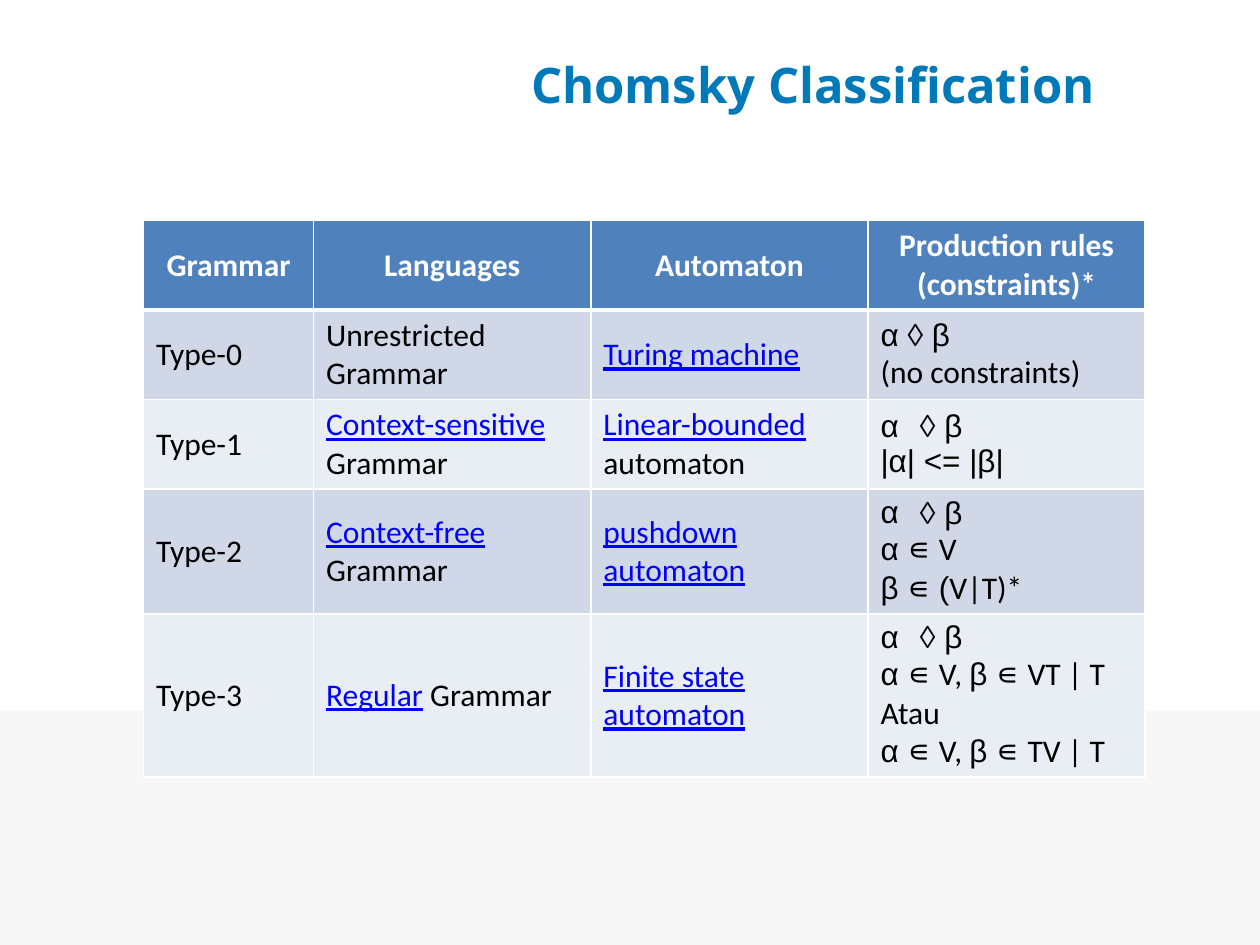
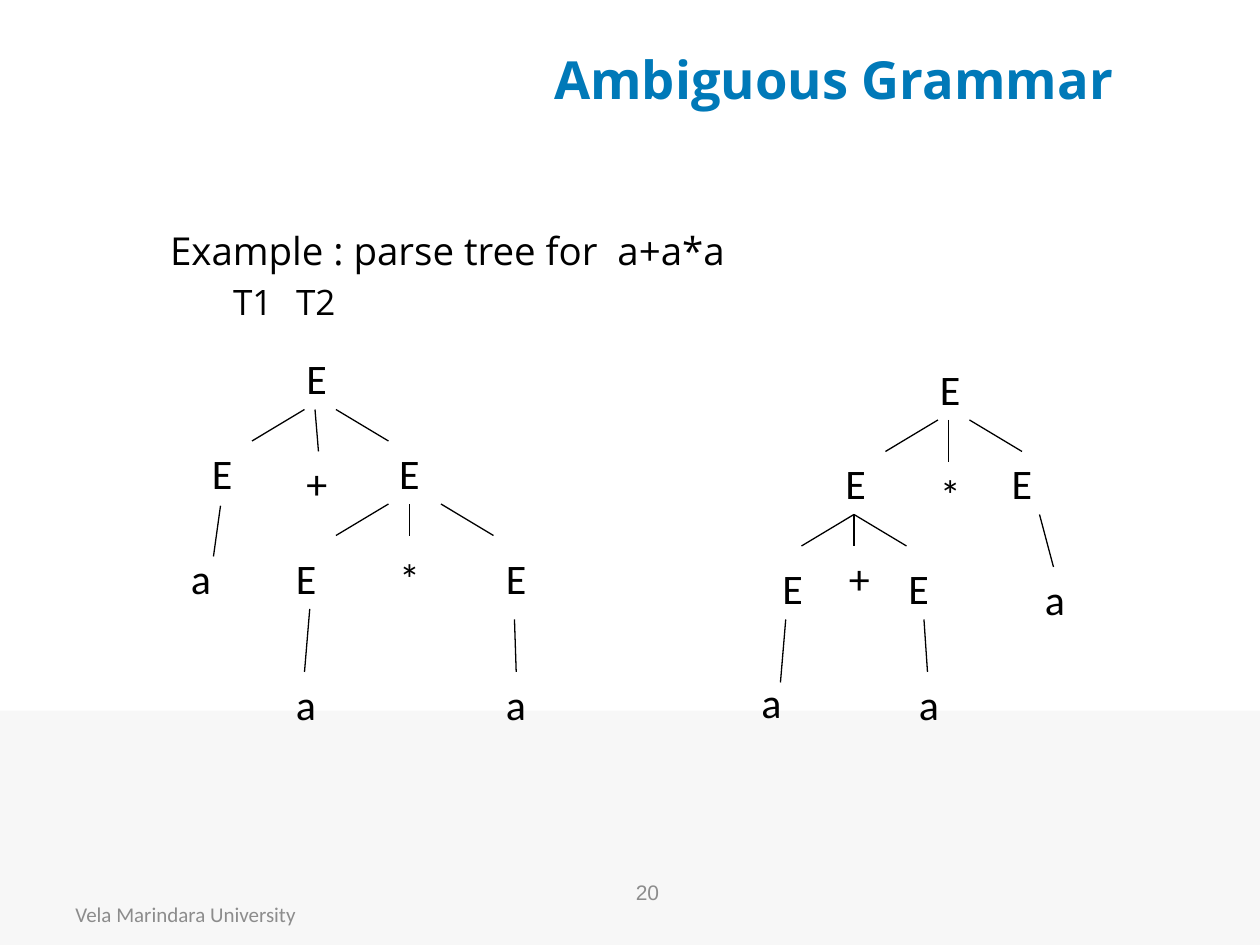
from collections import namedtuple
from dataclasses import dataclass

from lxml.etree import SubElement
from pptx import Presentation
from pptx.dml.color import RGBColor
from pptx.enum.shapes import MSO_CONNECTOR, MSO_SHAPE
from pptx.enum.text import MSO_ANCHOR as Anchor, MSO_AUTO_SIZE as AutoSize, PP_ALIGN as Align
from pptx.oxml.ns import qn
from pptx.util import Pt


@dataclass(frozen=True)
class Theme:
    """Colours, fonts and type sizes of the deck."""
    white: str = "FFFFFF"
    ink: str = "000000"
    band: str = "F7F7F7"
    title: str = "0079B8"
    link: str = "0000FF"
    footer: str = "8C8C8C"
    header: str = "4F81BD"
    rows: tuple = ("D0D8E8", "E9EDF4")
    display: str = "Open Sans"
    text: str = "Calibri"
    symbols: str = "Arial"
    example_size: int = 22
    label_size: int = 20
    node_size: int = 24
    table_size: int = 18
    footer_size: int = 12


THEME = Theme()
Box = namedtuple("Box", "left top width height")
Part = namedtuple("Part", "text role")
Tree = namedtuple("Tree", "nodes branches")


def plain(text):
    """Make a part in the text font."""
    return Part(text, "plain")


def link(text):
    """Make a part that looks like a link."""
    return Part(text, "link")


def symbol(text):
    """Make a part in the symbol font."""
    return Part(text, "symbol")


HEADINGS = ["Grammar", "Languages", "Automaton", "Production rules (constraints)*"]
ARROW_RULE = [Part("◊ β", "alpha")]
IN_V = [symbol("α ∊ "), plain("V, "), symbol("β ∊ ")]
CLASSES = [
    [[[plain("Type-0")]], [[plain("Unrestricted Grammar")]], [[link("Turing machine")]],
     [[symbol("α ◊ β")], [plain("(no constraints)")]]],
    [[[plain("Type-1")]], [[link("Context-sensitive"), plain(" Grammar")]],
     [[link("Linear-bounded"), plain(" automaton")]],
     [ARROW_RULE, [symbol("|α| <= |β|")]]],
    [[[plain("Type-2")]], [[link("Context-free"), plain(" Grammar")]],
     [[link("pushdown automaton")]],
     [ARROW_RULE, [symbol("α ∊ "), plain("V")], [symbol("β ∊ ("), plain("V|T)*")]]],
    [[[plain("Type-3")]], [[link("Regular"), plain(" Grammar")]],
     [[link("Finite state automaton")]],
     [ARROW_RULE, IN_V + [plain("VT | T")], [plain("Atau")], IN_V + [plain("TV | T")]]],
]

NODE_WIDTHS = {"E": 31, "a": 28, "+": 29, "*": 24}
NODE_HEIGHT = 37
SUM_FIRST = Tree(
    [("E", 66, 0), ("E", 12, 54), ("+", 66, 60), ("E", 119, 54), ("a", 0, 114),
     ("E", 60, 114), ("*", 119, 114), ("E", 180, 114), ("a", 60, 186), ("a", 180, 186)],
    [(72, 36, 42, 54), (78, 36, 80, 60), (90, 36, 120, 54), (24, 91, 20, 120),
     (120, 90, 90, 108), (132, 90, 132, 108), (150, 90, 180, 108),
     (75, 150, 72, 186), (192, 156, 193, 186)])
PRODUCT_FIRST = Tree(
    [("E", 102, 0), ("E", 48, 54), ("*", 102, 60), ("E", 143, 54), ("E", 12, 114),
     ("+", 50, 108), ("E", 84, 114), ("a", 162, 120), ("a", 0, 179), ("a", 90, 180)],
    [(108, 36, 78, 54), (114, 36, 114, 60), (126, 36, 156, 54), (60, 90, 30, 108),
     (60, 90, 60, 108), (60, 90, 90, 108), (166, 90, 174, 120),
     (21, 150, 18, 186), (100, 150, 102, 180)])


def rgb(colour):
    """Turn a hex string into a colour."""
    return RGBColor.from_string(colour)


def style(run, face, size, colour, bold=False):
    """Format one run."""
    run.font.name, run.font.size, run.font.bold = face, Pt(size), bold
    run.font.color.rgb = rgb(colour)


def place(shape, box):
    """Move a shape to a box given in points."""
    shape.left, shape.top, shape.width, shape.height = map(Pt, box)


def add_band(slide, master, box):
    """Put the grey band behind everything on the master."""
    band = slide.shapes.add_shape(MSO_SHAPE.RECTANGLE, *map(Pt, box))
    band.shadow.inherit = False
    band.fill.solid()
    band.fill.fore_color.rgb = rgb(THEME.band)
    band.line.fill.background()
    band.element.nvSpPr.cNvPr.set("id", "99")
    master.shapes.element.insert(2, band.element)


def add_title(slide, box, text, size):
    """Fill the title placeholder."""
    title = slide.shapes.title
    place(title, box)
    frame = title.text_frame
    frame.text = text
    frame.auto_size, frame.vertical_anchor = AutoSize.NONE, Anchor.MIDDLE
    frame.paragraphs[0].alignment = Align.CENTER
    style(frame.paragraphs[0].runs[0], THEME.display, size, THEME.title, True)


def add_borders(cell, bottom):
    """Draw white borders round a cell."""
    properties = cell._tc.get_or_add_tcPr()
    for side, width in (("lnL", 1), ("lnR", 1), ("lnT", 1), ("lnB", bottom)):
        border = SubElement(properties, qn("a:" + side), w=str(Pt(width)))
        paint = SubElement(border, qn("a:solidFill"))
        SubElement(paint, qn("a:srgbClr"), val=THEME.white)


def add_alpha_bullet(paragraph):
    """Hang the paragraph on an alpha bullet."""
    properties = paragraph._p.get_or_add_pPr()
    properties.set("marL", str(Pt(22.5)))
    properties.set("indent", str(-Pt(22.5)))
    SubElement(properties, qn("a:buFont"), typeface=THEME.symbols)
    SubElement(properties, qn("a:buChar"), char="α")


def fill_cell(cell, lines, fill, colour, heading=False):
    """Write lines of parts into a cell."""
    add_borders(cell, 3 if heading else 1)
    cell.fill.solid()
    cell.fill.fore_color.rgb = rgb(fill)
    cell.vertical_anchor = Anchor.MIDDLE
    frame = cell.text_frame
    for index, parts in enumerate(lines):
        paragraph = frame.add_paragraph() if index else frame.paragraphs[0]
        paragraph.alignment = Align.CENTER if heading else Align.LEFT
        if parts[0].role == "alpha":
            add_alpha_bullet(paragraph)
        for part in parts:
            run = paragraph.add_run()
            run.text = part.text
            linked = part.role == "link"
            face = THEME.symbols if part.role in ("symbol", "alpha") else THEME.text
            style(run, face, THEME.table_size, THEME.link if linked else colour, heading)
            run.font.underline = linked


def add_class_table(slide, box, widths, heights):
    """Add the table of grammar classes."""
    table = slide.shapes.add_table(len(heights), len(widths), *map(Pt, box)).table
    for column, width in zip(table.columns, widths):
        column.width = Pt(width)
    for row, height in zip(table.rows, heights):
        row.height = Pt(height)
    for column, heading in enumerate(HEADINGS):
        fill_cell(table.cell(0, column), [[plain(heading)]], THEME.header, THEME.white, True)
    for row, grammar in enumerate(CLASSES):
        for column, lines in enumerate(grammar):
            fill_cell(table.cell(row + 1, column), lines, THEME.rows[row % 2], THEME.ink)


def add_example(slide, box, lines, tabs):
    """Fill the body placeholder with the example and its tree labels."""
    body = slide.placeholders[1]
    place(body, box)
    frame = body.text_frame
    frame.text = "\n".join(lines)
    frame.auto_size, frame.vertical_anchor = AutoSize.NONE, Anchor.TOP
    sizes = (THEME.example_size, THEME.label_size)
    for paragraph, size in zip(frame.paragraphs, sizes):
        paragraph.space_before = Pt(size * 0.2)
        properties = paragraph._p.get_or_add_pPr()
        properties.set("marL", "0")
        properties.set("indent", "0")
        SubElement(properties, qn("a:buNone"))
        stops = SubElement(properties, qn("a:tabLst"))
        for tab in tabs:
            SubElement(stops, qn("a:tab"), pos=str(Pt(tab)), algn="l")
        for run in paragraph.runs:
            style(run, THEME.display, size, THEME.ink)


def add_tree(slide, left, top, tree):
    """Draw one parse tree as a group from its top left corner."""
    shapes = slide.shapes.add_group_shape().shapes
    for letter, x, y in tree.nodes:
        node = shapes.add_textbox(Pt(left + x), Pt(top + y),
                                  Pt(NODE_WIDTHS[letter]), Pt(NODE_HEIGHT))
        frame = node.text_frame
        frame.text = letter
        frame.word_wrap, frame.auto_size = False, AutoSize.SHAPE_TO_FIT_TEXT
        style(frame.paragraphs[0].runs[0], THEME.text, THEME.node_size, THEME.ink)
    for x1, y1, x2, y2 in tree.branches:
        branch = shapes.add_connector(MSO_CONNECTOR.STRAIGHT, Pt(left + x1), Pt(top + y1),
                                      Pt(left + x2), Pt(top + y2))
        branch.line.color.rgb = rgb(THEME.ink)
        branch.line.width = Pt(0.75)
        SubElement(branch.element.spPr, qn("a:effectLst"))


def add_footer(slide, box, text, face, alignment):
    """Add one grey footer text."""
    footer = slide.shapes.add_textbox(*map(Pt, box))
    frame = footer.text_frame
    frame.text = text
    frame.word_wrap, frame.vertical_anchor = True, Anchor.MIDDLE
    frame.paragraphs[0].alignment = alignment
    style(frame.paragraphs[0].runs[0], face, THEME.footer_size, THEME.footer)


def build_classification(deck):
    """Build the slide with the classification table."""
    slide = deck.slides.add_slide(deck.slide_layouts[5])
    add_band(slide, deck.slide_master, Box(0, 406, 720, 134))
    add_class_table(slide, Box(82, 126, 572.4, 317), [97.2] + [158.4] * 3,
                    [51, 51, 51, 71, 93])
    add_title(slide, Box(216, 12, 497, 72), "Chomsky Classification", 28)


def build_ambiguity(deck):
    """Build the slide with the two parse trees."""
    slide = deck.slides.add_slide(deck.slide_layouts[1])
    add_title(slide, Box(246, 18, 461, 54), "Ambiguous Grammar", 30)
    add_example(slide, Box(90, 126, 557, 275),
                ["Example : parse tree for  a+a*a", "\tT1\tT2"], [99, 459])
    add_footer(slide, Box(256, 491, 228, 37.5), "20", THEME.symbols, Align.CENTER)
    add_tree(slide, 102, 198, SUM_FIRST)
    add_tree(slide, 428, 204, PRODUCT_FIRST)
    add_footer(slide, Box(36, 508, 168, 29), "Vela Marindara University",
               THEME.text, Align.LEFT)


deck = Presentation()
deck.slide_width, deck.slide_height = Pt(720), Pt(540)
build_classification(deck)
build_ambiguity(deck)
deck.save("out.pptx")
